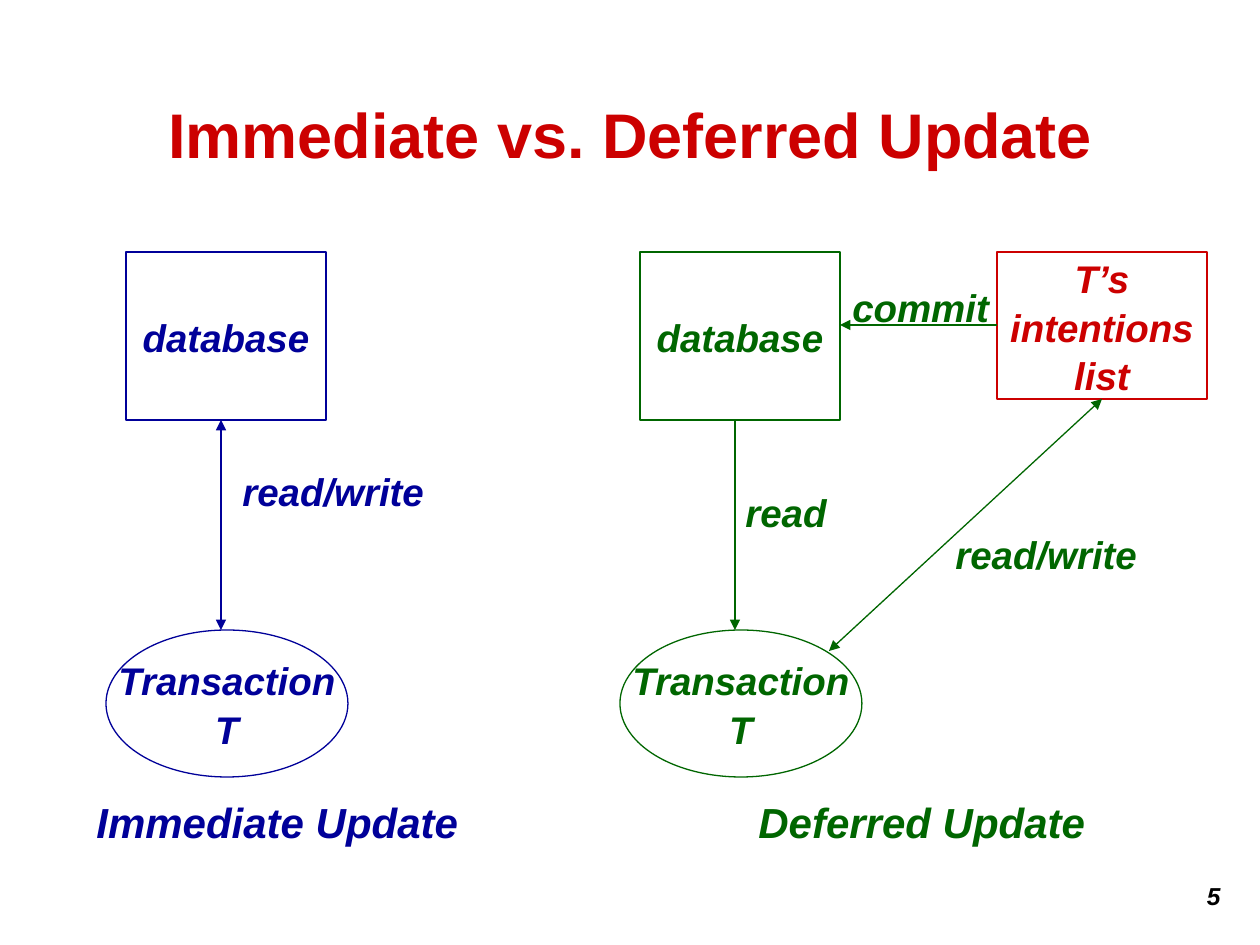
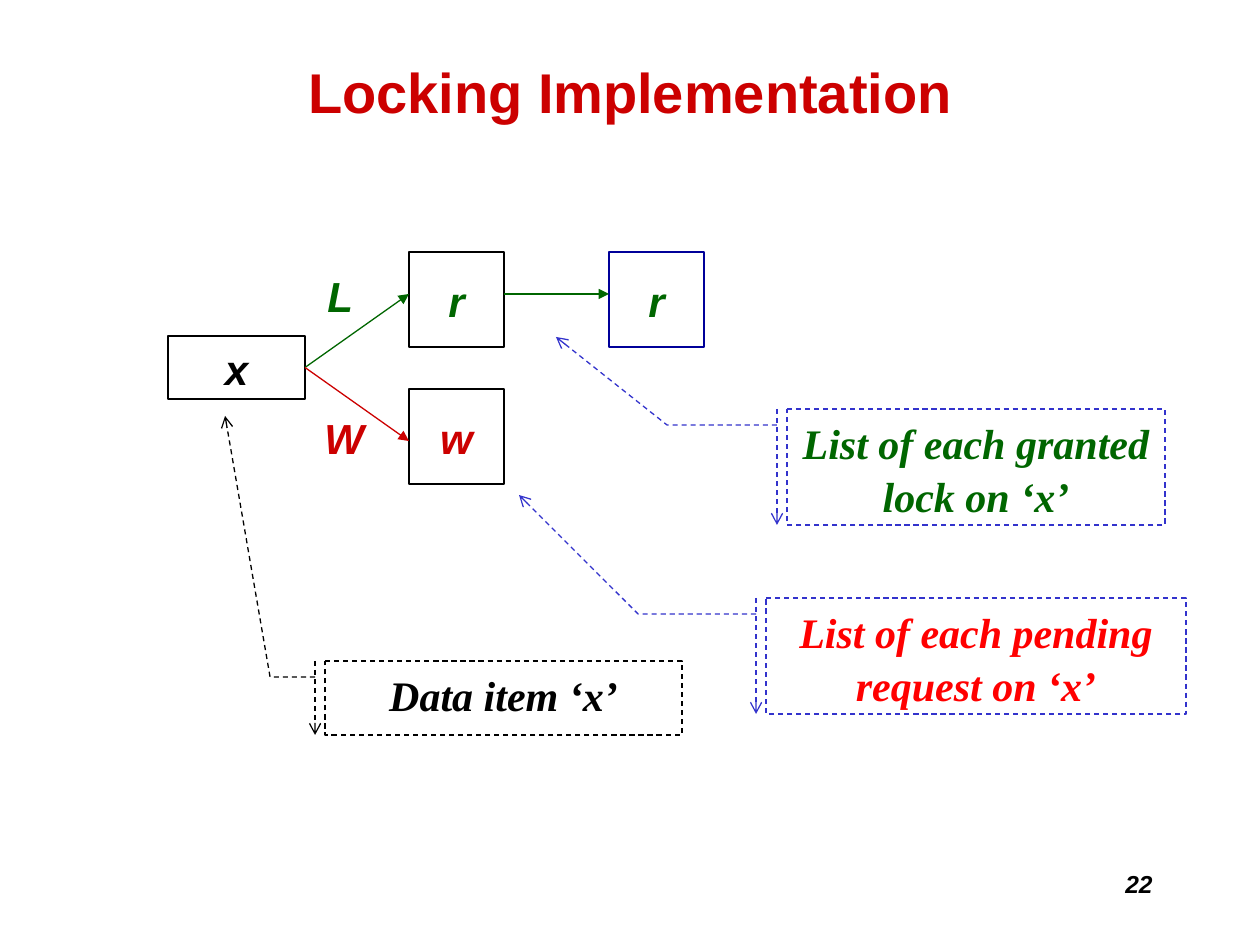
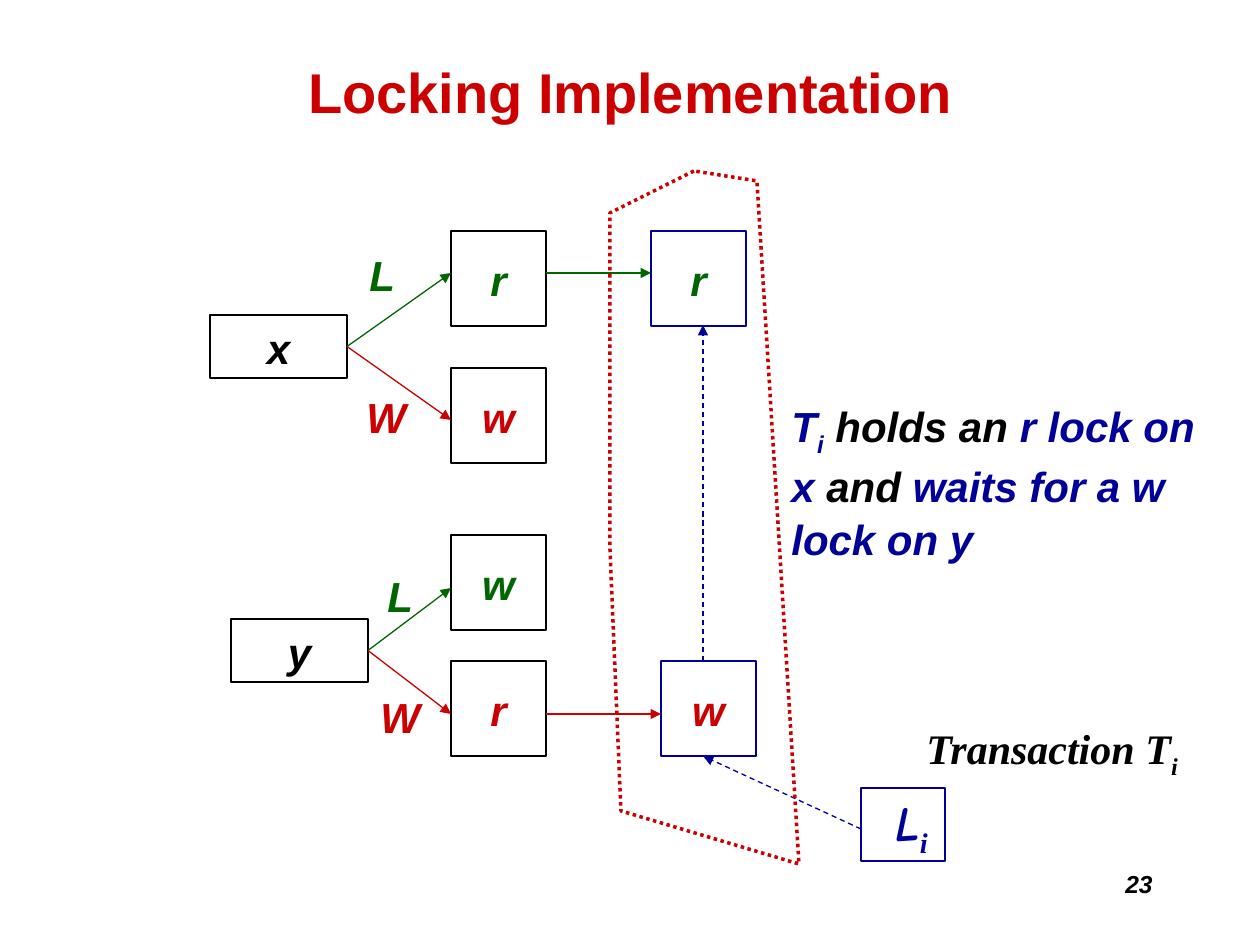
import pptx
import pptx.dml.color
import pptx.enum.dml
import pptx.enum.shapes
import pptx.enum.text
import pptx.oxml
import pptx.oxml.ns
import pptx.util

RGBColor = pptx.dml.color.RGBColor
Shape = pptx.enum.shapes.MSO_SHAPE
Dash = pptx.enum.dml.MSO_LINE
Align = pptx.enum.text.PP_ALIGN
Anchor = pptx.enum.text.MSO_ANCHOR

PX = 914400 / 126
BLACK = RGBColor(0x00, 0x00, 0x00)
WHITE = RGBColor(0xFF, 0xFF, 0xFF)
DARK_RED = RGBColor(0xCC, 0x00, 0x00)
RED = RGBColor(0xFF, 0x00, 0x00)
GREEN = RGBColor(0x00, 0x66, 0x00)
NAVY = RGBColor(0x00, 0x00, 0x99)
BLUE = RGBColor(0x33, 0x33, 0xCC)
SANS, SERIF, HAND = "Arial", "Times New Roman", "Comic Neue"
LINE_SPACING = 1.05
DATABASE_SIZE, TRANSACTION_SIZE = (200, 168), (242, 147)
ITEM_SIZE, LOCK_SIZE = (137, 63), (95, 95)

# Text, left, top, width, size, colour
UPDATE_LABELS = [
    ("read/write", 230, 460, 208, 22, NAVY),
    ("Immediate Update", 84, 788, 387, 24, NAVY),
    ("read/write", 943, 523, 208, 22, GREEN),
    ("read", 733, 481, 107, 22, GREEN),
    ("commit", 840, 276, 163, 22, GREEN),
    ("Deferred Update", 746, 788, 353, 24, GREEN),
]

# Places of an item's lists are relative to the list's origin
X_LISTS = {
    "item": "x",
    "branches": [
        {"label": ("L", 147, 10, 50), "color": GREEN, "arrow_y": 42,
         "locks": [("r", 241, 0, BLACK), ("r", 441, 0, NAVY)]},
        {"label": ("W", 144, 152, 66), "color": DARK_RED, "arrow_y": 189,
         "locks": [("w", 241, 137, BLACK)]},
    ],
}
Y_LISTS = {
    "item": "y",
    "branches": [
        {"label": ("L", 144, 27, 50), "color": GREEN, "arrow_y": 53,
         "locks": [("w", 220, 0, BLACK)]},
        {"label": ("W", 137, 148, 66), "color": DARK_RED, "arrow_y": 179,
         "locks": [("r", 220, 126, BLACK), ("w", 430, 126, NAVY)]},
    ],
}

# Text, box, elbow x, tip, line colour, text colour
CALLOUTS = [
    ("Data item ‘x’", (325, 661, 357, 74), 270, (225, 416), BLACK, BLACK),
    ("List of each granted lock on ‘x’", (787, 409, 378, 116), 667, (556, 337), BLUE, GREEN),
    ("List of each pending request on ‘x’", (766, 598, 420, 116), 638, (519, 495), BLUE, RED),
]

# Paragraphs of runs: text, colour, font, size, subscript
LOCK_STATE = [
    [("T", NAVY, SANS, 24, False), ("i", NAVY, SANS, 24, True),
     (" holds an ", BLACK, SANS, 24, False), ("r lock on", NAVY, SANS, 24, False)],
    [("x", NAVY, SANS, 24, False), (" and ", BLACK, SANS, 24, False),
     ("waits for a w", NAVY, SANS, 24, False)],
    [("lock on y", NAVY, SANS, 24, False)],
]
TRANSACTION_NAME = [[("Transaction T", BLACK, SERIF, 24, False), ("i", BLACK, SERIF, 24, True)]]
LIST_NAME = [[(" L", NAVY, HAND, 28, False), ("i", NAVY, SERIF, 28, True)]]
TRANSACTION_OUTLINE = [(694, 171), (610, 213), (610, 549), (621, 811), (799, 864), (757, 181)]


def emu(*lengths):
    return [round(length * PX) for length in lengths]


def set_font(font, name, size, color, italic=True):
    font.name, font.size, font.bold, font.italic = name, pptx.util.Pt(size), True, italic
    font.color.rgb = color


def write(shape, text, size, color, align=Align.LEFT, font=SANS, italic=True):
    shape.text_frame.text = text
    for paragraph in shape.text_frame.paragraphs:
        paragraph.alignment = align
        paragraph.line_spacing = LINE_SPACING
        for run in paragraph.runs:
            set_font(run.font, font, size, color, italic)


def write_runs(shape, paragraphs, align=Align.LEFT):
    frame = shape.text_frame
    for index, runs in enumerate(paragraphs):
        paragraph = frame.add_paragraph() if index else frame.paragraphs[0]
        paragraph.alignment = align
        paragraph.line_spacing = LINE_SPACING
        for text, color, font, size, subscript in runs:
            run = paragraph.add_run()
            run.text = text
            set_font(run.font, font, size, color)
            if subscript:
                run._r.get_or_add_rPr().set("baseline", "-25000")


def add_text_box(slide, box, wrap=False):
    shape = slide.shapes.add_textbox(*emu(*box))
    shape.text_frame.word_wrap = wrap
    return shape


def add_label(slide, text, left, top, width, size, color):
    write(add_text_box(slide, (left, top, width, 63 if size == 24 else 59)), text, size, color)


def style_line(line, color, width=0.75, dash=None, head=None, tail=None):
    line.color.rgb = color
    line.width = pptx.util.Pt(width)
    if dash:
        line.dash_style = dash
    properties = line._get_or_add_ln()
    for tag, kind in (("a:headEnd", head), ("a:tailEnd", tail)):
        if kind:
            end = pptx.oxml.parse_xml(f"<{tag} {pptx.oxml.ns.nsdecls('a')}/>")
            end.set("type", kind)
            properties.append(end)


def add_box(slide, kind, box, line_color):
    shape = slide.shapes.add_shape(kind, *emu(*box))
    shape.shadow.inherit = False
    shape.fill.solid()
    shape.fill.fore_color.rgb = WHITE
    style_line(shape.line, line_color)
    shape.text_frame.word_wrap = False
    shape.text_frame.vertical_anchor = Anchor.MIDDLE
    return shape


def add_node(slide, kind, box, text, size, color, line_color=None):
    write(add_box(slide, kind, box, line_color or color), text, size, color, Align.CENTER)


def add_arrow(slide, start, end, color, both_ends=False, dash=None):
    straight = pptx.enum.shapes.MSO_CONNECTOR.STRAIGHT
    arrow = slide.shapes.add_connector(straight, *emu(*start, *end))
    style_line(arrow.line, color, dash=dash, head="triangle" if both_ends else None, tail="triangle")
    no_effects = pptx.oxml.parse_xml(f"<a:effectLst {pptx.oxml.ns.nsdecls('a')}/>")
    arrow._element.spPr.append(no_effects)


def add_slide(presentation, title, title_box, title_size, number, number_position):
    slide = presentation.slides.add_slide(presentation.slide_layouts[6])
    title_shape = add_text_box(slide, title_box, wrap=True)
    title_shape.text_frame.vertical_anchor = Anchor.MIDDLE
    write(title_shape, title, title_size, DARK_RED, Align.CENTER, italic=False)
    number_shape = add_text_box(slide, (*number_position, 262, 63), wrap=True)
    write(number_shape, number, 14, BLACK, Align.RIGHT)
    return slide


def add_locking_slide(presentation, number):
    return add_slide(presentation, "Locking Implementation", (95, 32, 1071, 116), 32,
                     number, (903, 861))


def add_update(slide, left, color, both_ends):
    """Draw a database above its transaction, joined by an arrow."""
    add_node(slide, Shape.RECTANGLE, (left, 252, *DATABASE_SIZE), "database", 22, color)
    add_node(slide, Shape.OVAL, (left - 20, 630, *TRANSACTION_SIZE), "Transaction\nT", 22, color)
    add_arrow(slide, (left + 95, 420), (left + 95, 630), color, both_ends)


def add_lock_lists(slide, left, top, lists):
    """Draw a data item with its lists of granted (L) and waiting (W) locks."""
    width, height = ITEM_SIZE
    item_top = top + 84
    add_node(slide, Shape.RECTANGLE, (left, item_top, width, height), lists["item"], 24, BLACK)
    for branch in lists["branches"]:
        color = branch["color"]
        arrow_y = top + branch["arrow_y"]
        start = (left + width, item_top + height / 2)
        for text, x, y, line_color in branch["locks"]:
            lock_left = left + x
            add_node(slide, Shape.RECTANGLE, (lock_left, top + y, *LOCK_SIZE),
                     text, 24, color, line_color)
            add_arrow(slide, start, (lock_left, arrow_y), color)
            start = (lock_left + LOCK_SIZE[0], arrow_y)
        text, x, y, label_width = branch["label"]
        add_label(slide, text, left + x, top + y, label_width, 24, color)


def add_callout(slide, text, box, elbow_x, tip, line_color, text_color):
    left, top, width, height = box
    kind = Shape.LINE_CALLOUT_2_BORDER_AND_ACCENT_BAR
    callout = slide.shapes.add_shape(kind, *emu(*box))
    points = [(left - 10, top + 16), (elbow_x, top + 16), tip]
    for index, (x, y) in enumerate(points):
        callout.adjustments[2 * index] = (y - top) / height
        callout.adjustments[2 * index + 1] = (x - left) / width
    callout.shadow.inherit = False
    callout.fill.background()
    style_line(callout.line, line_color, dash=Dash.DASH, tail="arrow")
    callout.text_frame.word_wrap = True
    callout.text_frame.vertical_anchor = Anchor.TOP
    write(callout, text, 24, text_color, Align.CENTER, SERIF)


def build_update_slide(presentation):
    slide = add_slide(presentation, "Immediate vs. Deferred Update", (95, 53, 1071, 157), 36,
                      "5", (971, 873))
    add_update(slide, 126, NAVY, both_ends=True)
    add_update(slide, 640, GREEN, both_ends=False)
    add_node(slide, Shape.RECTANGLE, (997, 252, 210, 147), "T’s\nintentions\nlist", 22, DARK_RED)
    add_arrow(slide, (829, 651), (1102, 399), GREEN, both_ends=True)
    add_arrow(slide, (997, 325), (840, 325), GREEN)
    for label in UPDATE_LABELS:
        add_label(slide, *label)


def build_lists_slide(presentation):
    slide = add_locking_slide(presentation, "22")
    add_lock_lists(slide, 168, 252, X_LISTS)
    for callout in CALLOUTS:
        add_callout(slide, *callout)


def build_transaction_slide(presentation):
    slide = add_locking_slide(presentation, "23")
    add_lock_lists(slide, 231, 535, Y_LISTS)
    add_lock_lists(slide, 210, 231, X_LISTS)
    write_runs(add_box(slide, Shape.RECTANGLE, (861, 788, 84, 73), NAVY), LIST_NAME, Align.CENTER)
    add_arrow(slide, (861, 829), (703, 756), NAVY, dash=Dash.DASH)
    add_arrow(slide, (703, 661), (703, 325), NAVY, dash=Dash.DASH)
    write_runs(add_text_box(slide, (779, 392, 430, 164)), LOCK_STATE)
    start, *corners = TRANSACTION_OUTLINE
    builder = slide.shapes.build_freeform(*start, scale=PX)
    builder.add_line_segments(corners, close=True)
    outline = builder.convert_to_shape()
    outline.shadow.inherit = False
    outline.fill.background()
    style_line(outline.line, DARK_RED, 2, Dash.ROUND_DOT)
    write_runs(add_text_box(slide, (914, 714, 305, 63), wrap=True), TRANSACTION_NAME)


def main():
    presentation = pptx.Presentation()
    presentation.slide_width, presentation.slide_height = emu(1260, 945)
    build_update_slide(presentation)
    build_lists_slide(presentation)
    build_transaction_slide(presentation)
    presentation.save("out.pptx")


if __name__ == "__main__":
    main()
